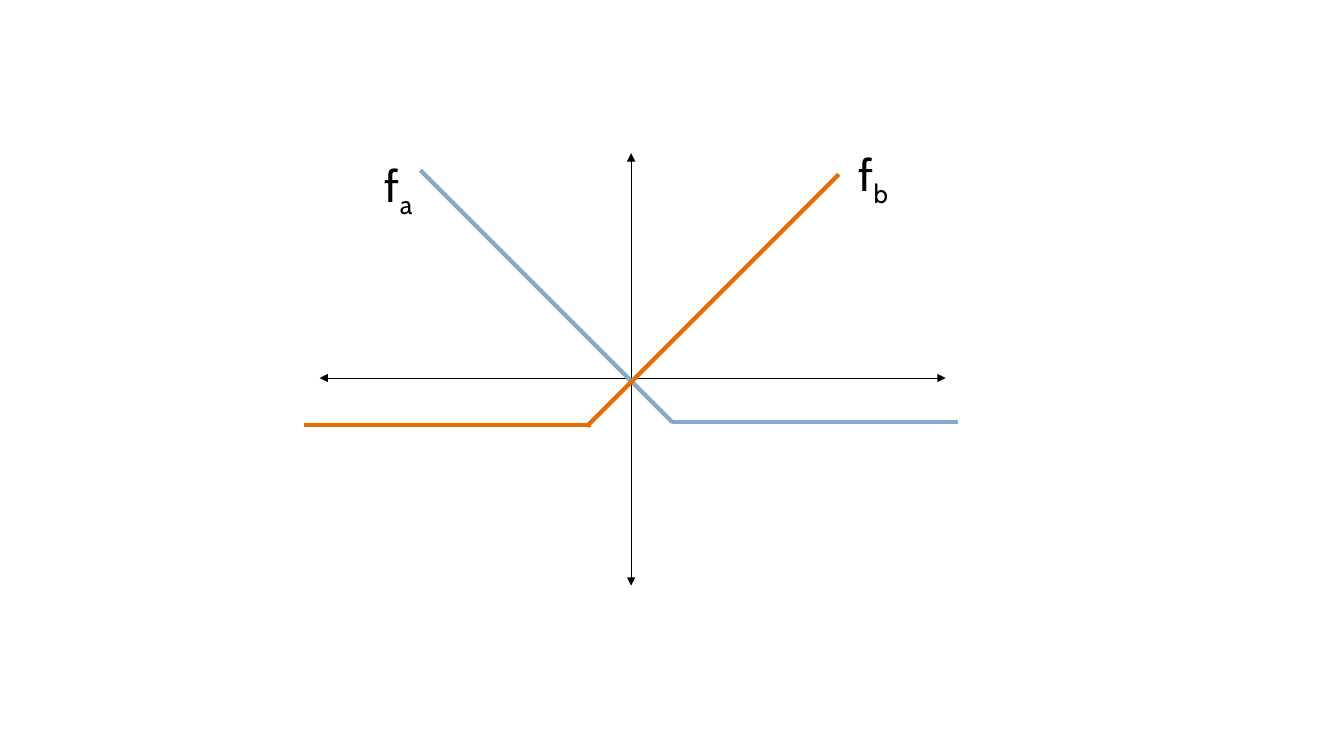
from lxml.etree import SubElement
from pptx import Presentation
from pptx.dml.color import RGBColor
from pptx.enum.shapes import MSO_CONNECTOR as Connector
from pptx.enum.text import MSO_AUTO_SIZE as AutoSize
from pptx.oxml.ns import qn
from pptx.util import Pt

SCALE = 9144
COLORS = {"ink": "000000", "f_a": "87A7D0", "f_b": "E76D00"}
FONT = "Cabin"


def px(length):
    return length * SCALE


def add_line(slide, box, start, end, color, width, arrows=False):
    left, top = box[:2]
    connector = slide.shapes.add_connector(
        Connector.STRAIGHT,
        px(left + start[0]), px(top + start[1]),
        px(left + end[0]), px(top + end[1]),
    )
    connector.line.color.rgb = RGBColor.from_string(COLORS[color])
    connector.line.width = Pt(width)
    if arrows:
        line = connector.line._get_or_add_ln()
        for tag in ("a:headEnd", "a:tailEnd"):
            SubElement(line, qn(tag), type="triangle")
    SubElement(connector._element.spPr, qn("a:effectLst"))


def add_label(slide, box, position, subscript):
    left, top = box[:2]
    label = slide.shapes.add_textbox(
        px(left + position[0]), px(top + position[1]), px(80), px(64)
    )
    text_frame = label.text_frame
    text_frame.word_wrap = True
    text_frame.auto_size = AutoSize.SHAPE_TO_FIT_TEXT
    paragraph = text_frame.paragraphs[0]
    for text in ("f", subscript):
        run = paragraph.add_run()
        run.text = text
        run.font.name = FONT
        run.font.size = Pt(32)
        run.font.color.rgb = RGBColor.from_string(COLORS["ink"])
    paragraph.runs[1]._r.get_or_add_rPr().set("baseline", "-25000")


def add_axes(slide, box):
    width, height = box[2:]
    middle = width // 2
    add_line(slide, box, (middle, 11), (middle, height), "ink", 0.5, True)
    add_line(slide, box, (width - 12, 234), (15, 234), "ink", 0.5, True)


def add_functions(slide, box):
    width = box[2]
    segments = [
        ("f_a", (115, 28), (365, 278)),
        ("f_a", (365, 278), (width, 278)),
        ("f_b", (530, 32), (280, 282)),
        ("f_b", (0, 281), (284, 281)),
    ]
    for color, start, end in segments:
        add_line(slide, box, start, end, color, 3)
    add_label(slide, box, (70, 11), "a")
    add_label(slide, box, (540, 0), "b")


def main():
    presentation = Presentation()
    presentation.slide_width = px(1333)
    presentation.slide_height = px(750)
    slide = presentation.slides.add_slide(presentation.slide_layouts[6])
    plot_box = (302, 141, 648, 440)
    add_axes(slide, plot_box)
    add_functions(slide, plot_box)
    presentation.save("out.pptx")


if __name__ == "__main__":
    main()
